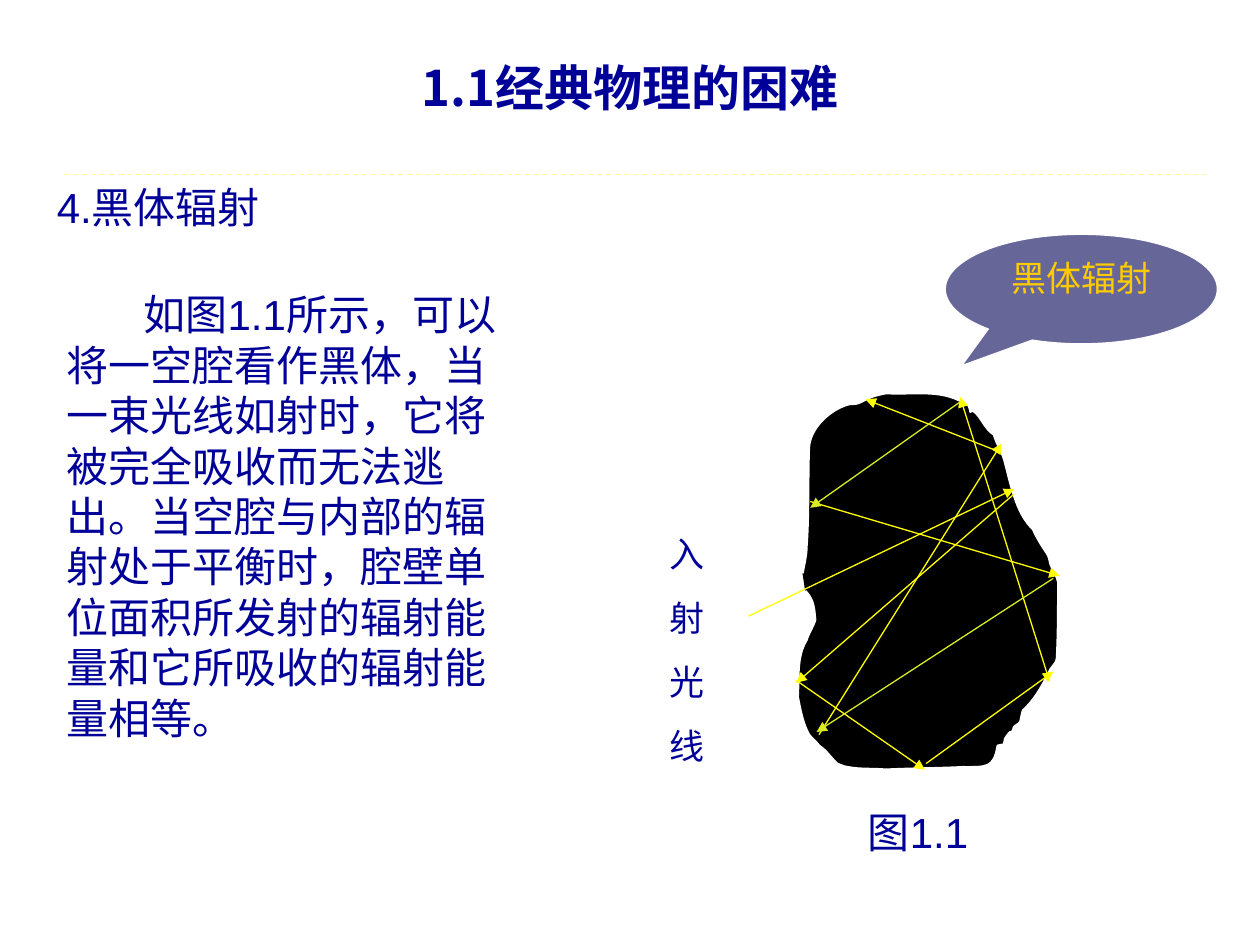
from lxml import etree
from pptx import Presentation
from pptx.dml.color import RGBColor
from pptx.enum import dml, shapes, text
from pptx.oxml import ns
from pptx.util import Pt

NAVY, YELLOW, LIME = "000099", "FFFF00", "D8EB23"
SANS, CJK = "Arial", "Noto Sans CJK SC"
LEFT, CENTER = text.PP_ALIGN.LEFT, text.PP_ALIGN.CENTER
TOP, MIDDLE = text.MSO_ANCHOR.TOP, text.MSO_ANCHOR.MIDDLE

BODY = ("如图1.1所示，可以将一空腔看作黑体，当一束光线如射时，它将被完全吸收而无法逃出。"
        "当空腔与内部的辐射处于平衡时，腔壁单位面积所发射的辐射能量和它所吸收的辐射能量相等。")
# left, top, width, height, words, font, size, bold, alignment, anchor, indent, gap
TEXTS = [
    (36, 21.6, 648, 56.2, "1.1经典物理的困难", CJK, 28, True, CENTER, MIDDLE, 0, 0),
    (25.4, 100, 493.2, 36, "4.黑体辐射", SANS, 24, False, LEFT, TOP, 0, 0),
    (31, 161.5, 272.2, 268.4, BODY, SANS, 24, False, LEFT, TOP, 44, 0),
    (375.5, 301, 39.6, 141.1, "入\n射\n光\n线", CJK, 20, False, LEFT, TOP, 0, 12.5),
    (488.9, 457.2, 169.9, 36, "图1.1", SANS, 24, False, LEFT, TOP, 0, 0),
]
CALLOUT = (540.2, 133.9, 155.5, 62.6)
RULE = (36.7, 99.7, 689, 99.7)
RAYS = [
    (427.7, 352.1, 579.6, 279.4, YELLOW),
    (579.6, 282.2, 455, 390.2, YELLOW),
    (455, 388.8, 528.5, 439.9, YELLOW),
    (529.2, 436.3, 601.9, 383.8, YELLOW),
    (599.8, 389.5, 548.6, 226.8, YELLOW),
    (463, 286.6, 605.5, 329, YELLOW),
    (468, 419.8, 572.4, 253.4, YELLOW),
    (568.1, 257, 494.6, 228.2, YELLOW),
    (548.6, 229.7, 463, 290.2, LIME),
    (601.9, 330.5, 466.6, 418.3, LIME),
]
CAVITY_START = (458.6, 327.6)
CAVITY_CURVES = [
    (459.4, 322.6, 460.8, 317.5, 460.8, 312.5),
    (462.2, 293.8, 461.5, 274.3, 462.2, 255.6),
    (463, 244.8, 473, 235.4, 482.4, 231.8),
    (487.4, 229.7, 487.4, 231.8, 491.8, 229.7),
    (497.5, 226.8, 499, 226.1, 506.2, 224.6),
    (526.3, 225.4, 538.6, 221.8, 553.7, 231.8),
    (556.6, 240.5, 551.5, 230.4, 558, 236.2),
    (562.3, 241.2, 563, 244.8, 568.1, 248.4),
    (569.5, 253.4, 572.4, 257.8, 573.8, 262.1),
    (577.4, 275, 580.3, 293, 590.4, 302.4),
    (592.6, 307.4, 595.4, 311.8, 598.3, 316.1),
    (599.8, 318.2, 599.8, 320.4, 600.5, 322.6),
    (601.9, 326.2, 604.1, 329, 604.8, 332.6),
    (604.8, 347, 604.8, 361.4, 604.1, 375.8),
    (604.1, 378.7, 601.9, 380.2, 600.5, 382.3),
    (596.2, 391, 591.8, 399.6, 584.6, 406.1),
    (582.5, 414, 584.6, 411.8, 579.6, 415.4),
    (576.7, 423.4, 580.3, 413.3, 574.6, 421.9),
    (573.8, 422.6, 574.6, 424.1, 573.8, 425.5),
    (572.4, 426.2, 571.7, 426.2, 570.2, 426.2),
    (568.1, 439.2, 563.8, 438.5, 550.1, 438.5),
    (535.7, 439.2, 520.6, 439.2, 506.2, 439.9),
    (499, 439.2, 491.8, 439.9, 484.6, 438.5),
    (482.4, 438.5, 478.1, 436.3, 478.1, 436.3),
    (474.5, 432.7, 472.3, 429.1, 468, 426.2),
    (466.6, 424.1, 463.7, 421.9, 462.2, 419.8),
    (458.6, 413.3, 457.2, 405.4, 455.8, 398.2),
    (456.5, 387.4, 455, 375.1, 460.8, 365.8),
    (462.2, 361.4, 464.4, 358.6, 465.8, 354.2),
    (465.1, 347.8, 465.1, 342.7, 460.1, 337.7),
]


def color(value):
    return RGBColor.from_string(value)


def write(shape, words, font, size, bold, align, anchor, indent=0, gap=0, ink=NAVY):
    frame = shape.text_frame
    frame.text = words
    frame.word_wrap = True
    frame.vertical_anchor = anchor
    for index, para in enumerate(frame.paragraphs):
        para.alignment = align
        para.space_before = Pt(gap if index else 0)
        props = para._p.get_or_add_pPr()
        props.set("hangingPunct", "0")
        props.set("indent", str(Pt(indent)))
        for span in para.runs:
            span.font.name = font
            span.font.size = Pt(size)
            span.font.bold = bold
            span.font.color.rgb = color(ink)


def paint(shape, fill, width):
    shape.shadow.inherit = False
    shape.fill.solid()
    shape.fill.fore_color.rgb = color(fill)
    shape.line.color.rgb = color("FFFFFF")
    shape.line.width = Pt(width)


def draw_line(page, ends, ink):
    line = page.shapes.add_connector(shapes.MSO_CONNECTOR.STRAIGHT, *map(Pt, ends))
    line.line.color.rgb = color(ink)
    line.line.width = Pt(0.75)
    etree.SubElement(line._element.spPr, ns.qn("a:effectLst"))
    return line


def draw_curves(page, start, curves):
    builder = page.shapes.build_freeform(*map(Pt, start))
    builder.add_line_segments([(Pt(x), Pt(y)) for *_, x, y in curves], close=False)
    outline = builder.convert_to_shape()
    segments = list(outline._element.iter(ns.qn("a:lnTo")))
    for segment, curve in zip(segments, curves):
        bend = etree.Element(ns.qn("a:cubicBezTo"))
        for x, y in zip(curve[::2], curve[1::2]):
            etree.SubElement(bend, ns.qn("a:pt"), x=str(Pt(x) - outline.left), y=str(Pt(y) - outline.top))
        segment.getparent().replace(segment, bend)
    return outline


def main():
    deck = Presentation()
    deck.slide_width, deck.slide_height = Pt(720), Pt(540)
    page = deck.slides.add_slide(deck.slide_layouts[6])

    callout = page.shapes.add_shape(shapes.MSO_SHAPE.OVAL_CALLOUT, *map(Pt, CALLOUT))
    callout.adjustments[0], callout.adjustments[1] = -0.44, 0.7
    paint(callout, "666699", 0.75)
    write(callout, "黑体辐射", SANS, 20, False, CENTER, TOP, ink="FFCC00")

    paint(draw_curves(page, CAVITY_START, CAVITY_CURVES), "000000", 1.5)

    for left, top, width, height, *style in TEXTS:
        box = page.shapes.add_textbox(Pt(left), Pt(top), Pt(width), Pt(height))
        write(box, *style)

    draw_line(page, RULE, "FFFF99").line.dash_style = dml.MSO_LINE.DASH
    for *ends, ink in RAYS:
        ray = draw_line(page, ends, ink)
        etree.SubElement(ray.line._get_or_add_ln(), ns.qn("a:tailEnd"), type="triangle")

    deck.save("out.pptx")


if __name__ == "__main__":
    main()
